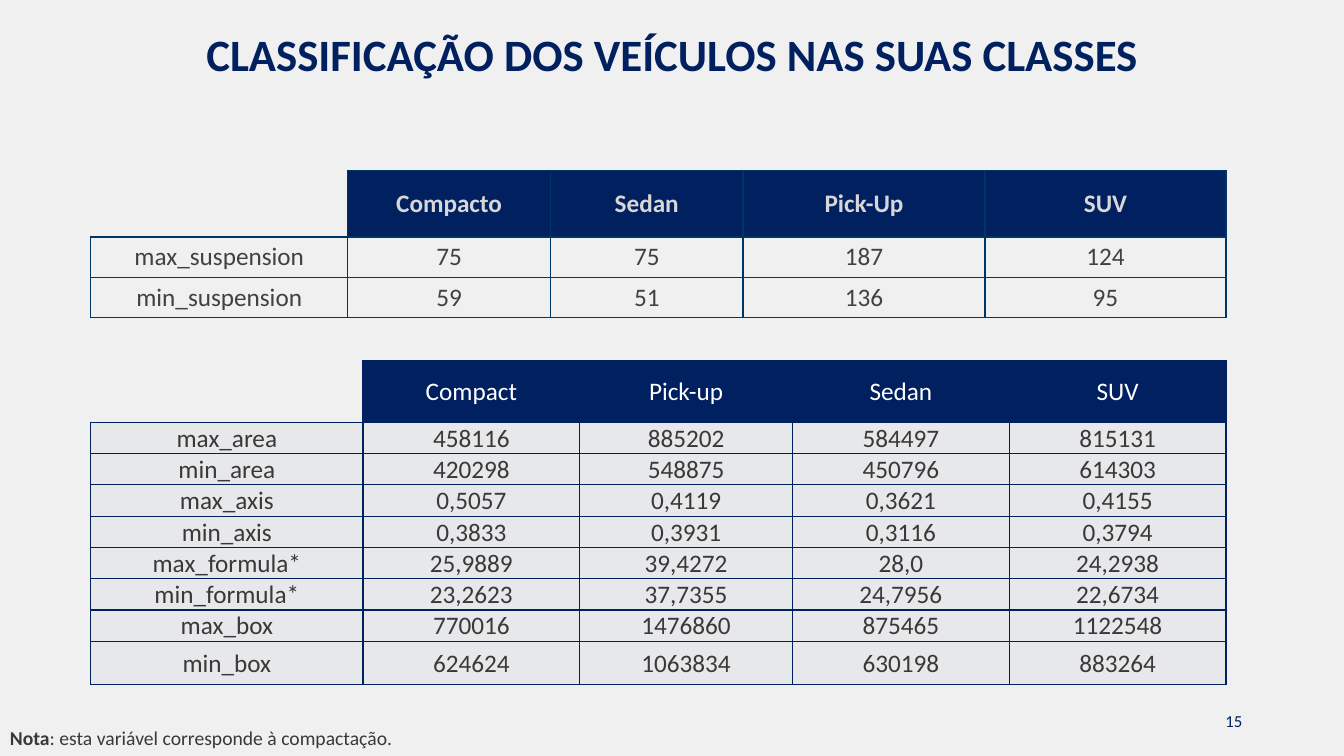
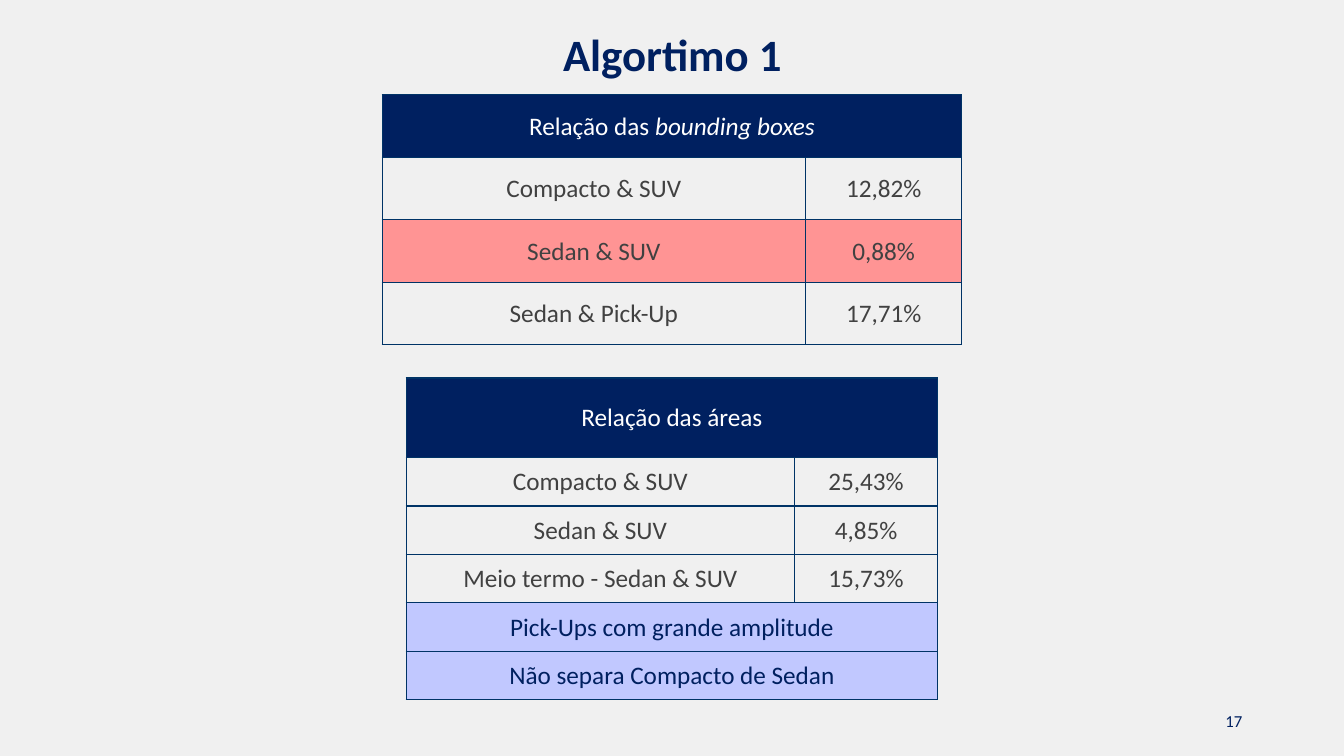
"""Builds two slides with the class limits of vehicles and the results of the first algorithm."""
from lxml import etree
from pptx import Presentation
from pptx.dml.color import RGBColor
from pptx.enum.text import MSO_ANCHOR as Anchor, MSO_AUTO_SIZE as AutoSize, PP_ALIGN as Align
from pptx.oxml.ns import qn
from pptx.util import Inches, Pt

COLORS = {
    "page": "F0F0F0", "navy": "002060", "rule": "003366", "silver": "D8D6D6",
    "white": "FFFFFF", "gray": "414141", "dark": "3A3838", "band": "E7E8EA",
    "red": "FF9494", "lilac": "C1C8FF",
}
FONT = "Calibri"
WIDTH, HEIGHT = 13.33, 7.5
TIGHT = (0.01, 0.01, 0.01, 0)
ROOMY = (0.1, 0.05, 0.1, 0.05)


def write(frame, pieces, color, size=18, align=Align.CENTER, bold=False):
    """Fills the first paragraph with one run per piece and returns the runs."""
    paragraph = frame.paragraphs[0]
    paragraph.alignment = align
    for piece in pieces:
        run = paragraph.add_run()
        run.text = piece
        run.font.name, run.font.size, run.font.bold = FONT, Pt(size), bold
        run.font.color.rgb = RGBColor.from_string(COLORS[color])
    return paragraph.runs


def add_grid(slide, top, columns, heights, rows, rule, left=None, inset=TIGHT, head_bold=False, head_rule=1):
    """Adds a table of (fill, ink, texts) rows; a single text spans its row, None leaves a bare corner."""
    left = (WIDTH - sum(columns)) / 2 if left is None else left
    table = slide.shapes.add_table(len(rows), len(columns), Inches(left), Inches(top),
                                   Inches(sum(columns)), Inches(sum(heights))).table
    table.first_row = table.horz_banding = False
    for column, width in zip(table.columns, columns):
        column.width = Inches(width)
    for r, (fill, ink, texts) in enumerate(rows):
        table.rows[r].height = Inches(heights[r])
        if len(texts) == 1:
            table.cell(r, 0).merge(table.cell(r, len(columns) - 1))
        for c in range(len(columns)):
            cell = table.cell(r, c)
            text = texts[c] if c < len(texts) else None
            corner = c == 0 and text is None
            cell.vertical_anchor = Anchor.MIDDLE
            cell.margin_left, cell.margin_top, cell.margin_right, cell.margin_bottom = map(Inches, inset)
            if text:
                pieces = [text] if isinstance(text, str) else text
                write(cell.text_frame, pieces, ink, bold=head_bold and r == 0)
            if fill and not corner:
                cell.fill.solid()
                cell.fill.fore_color.rgb = RGBColor.from_string(COLORS[fill])
            else:
                cell.fill.background()
            properties = cell._tc.get_or_add_tcPr()
            for place, side in enumerate("LRTB"):
                under_head = (r, side) in ((0, "B"), (1, "T"))
                line = etree.Element(qn(f"a:ln{side}"), w=str(Pt(head_rule if under_head else 1)))
                if corner and side in "LT":
                    etree.SubElement(line, qn("a:noFill"))
                else:
                    paint = etree.SubElement(line, qn("a:solidFill"))
                    etree.SubElement(paint, qn("a:srgbClr"), val=COLORS[rule])
                properties.insert(place, line)
    return table


deck = Presentation()
deck.slide_width, deck.slide_height = Inches(WIDTH), Inches(HEIGHT)
backdrop = deck.slide_master.background.fill
backdrop.solid()
backdrop.fore_color.rgb = RGBColor.from_string(COLORS["page"])

title_only = deck.slide_layouts[5]
heading = title_only.placeholders[0]
heading.left, heading.top, heading.width, heading.height = map(Inches, (1.17, 0.21, 11, 0.64))
heading.text_frame.auto_size = AutoSize.NONE

slides = []
for title, number in (("CLASSIFICAÇÃO DOS VEÍCULOS NAS SUAS CLASSES", "15"), ("Algortimo 1", "17")):
    slide = deck.slides.add_slide(title_only)
    write(slide.shapes.title.text_frame, [title], "navy", 32, bold=True)
    page = slide.shapes.add_textbox(*map(Inches, (9.42, 6.95, 3, 0.4))).text_frame
    page.word_wrap, page.vertical_anchor = True, Anchor.MIDDLE
    write(page, [number], "navy", 12, Align.RIGHT)
    slides.append(slide)
classes, algorithm = slides

suspension = [
    ("navy", "silver", [None, "Compacto", "Sedan", "Pick-Up", "SUV"]),
    (None, "gray", ["max_suspension", "75", "75", "187", "124"]),
    (None, "gray", ["min_suspension", "59", "51", "136", "95"]),
]
add_grid(classes, 1.69, [2.55, 2.01, 1.91, 2.4, 2.39], [0.66, 0.4, 0.4], suspension, "rule",
         left=0.9, inset=ROOMY, head_bold=True, head_rule=2)

limits = [
    ["max_area", "458116", "885202", "584497", "815131"],
    ["min_area", "420298", "548875", "450796", "614303"],
    ["max_axis", "0,5057", "0,4119", "0,3621", "0,4155"],
    ["min_axis", "0,3833", "0,3931", "0,3116", "0,3794"],
    ["max_formula*", "25,9889", "39,4272", "28,0", "24,2938"],
    ["min_formula*", "23,2623", "37,7355", "24,7956", "22,6734"],
    ["max_box", "770016", "1476860", "875465", "1122548"],
    ["min_box", "624624", "1063834", "630198", "883264"],
]
limit_rows = [("navy", "white", [None, "Compact", "Pick-up", "Sedan", "SUV"])]
limit_rows += [("band", "dark", texts) for texts in limits]
add_grid(classes, 3.58, [2.7, 2.15, 2.11, 2.15, 2.15], [0.61] + [0.31] * 7 + [0.43], limit_rows,
         "navy", left=0.9)

note = classes.shapes.add_textbox(0, Inches(7.15), Inches(5.24), Inches(0.34)).text_frame
note.word_wrap = True
note_runs = write(note, ["Nota", ": esta variável corresponde à compactação."], "dark", 14, Align.LEFT)
note_runs[0].font.bold = True

box_relation = [
    ("navy", "white", [("Relação das ", "bounding boxes")]),
    (None, "gray", ["Compacto & SUV", "12,82%"]),
    ("red", "gray", ["Sedan & SUV", "0,88%"]),
    (None, "gray", ["Sedan & Pick-Up", "17,71%"]),
]
boxes = add_grid(algorithm, 0.94, [4.2, 1.55], [0.62] * 4, box_relation, "rule")
boxes.cell(0, 0).text_frame.paragraphs[0].runs[1].font.italic = True

area_relation = [
    ("navy", "white", ["Relação das áreas"]),
    (None, "gray", ["Compacto & SUV", "25,43%"]),
    (None, "gray", ["Sedan & SUV", "4,85%"]),
    (None, "gray", ["Meio termo - Sedan & SUV", "15,73%"]),
    ("lilac", "navy", ["Pick-Ups com grande amplitude"]),
    ("lilac", "navy", ["Não separa Compacto de Sedan"]),
]
add_grid(algorithm, 3.75, [3.85, 1.42], [0.79] + [0.48] * 5, area_relation, "rule")

deck.save("out.pptx")
